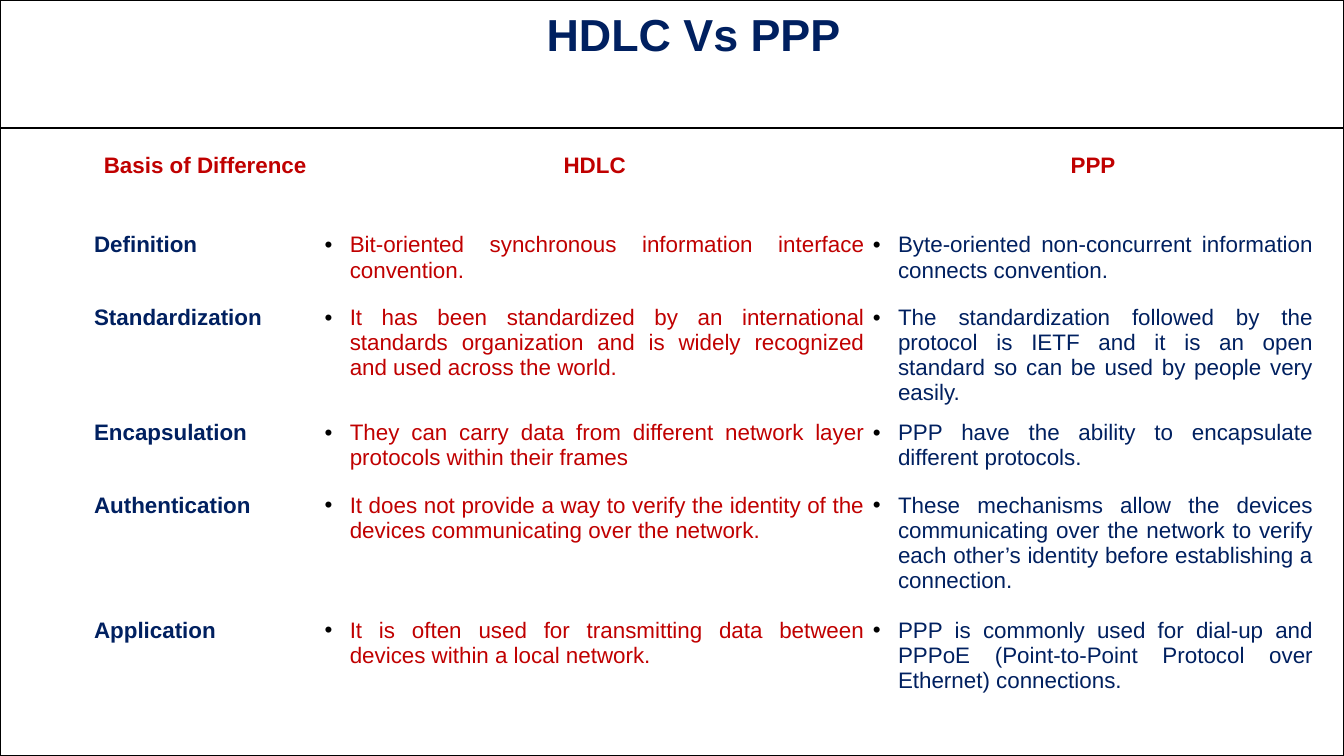
from lxml import etree
from pptx import Presentation
from pptx.dml.color import RGBColor
from pptx.enum.shapes import MSO_CONNECTOR, MSO_SHAPE
from pptx.enum.text import MSO_ANCHOR, MSO_AUTO_SIZE, PP_ALIGN
from pptx.oxml.ns import qn
from pptx.util import Pt

BLACK = RGBColor(0, 0, 0)
NAVY = RGBColor(0x00, 0x20, 0x60)
RED = RGBColor(0xC0, 0x00, 0x00)
RECT, STRAIGHT = MSO_SHAPE.RECTANGLE, MSO_CONNECTOR.STRAIGHT
TOP, NO_FIT = MSO_ANCHOR.TOP, MSO_AUTO_SIZE.NONE
CENTER, JUSTIFY = PP_ALIGN.CENTER, PP_ALIGN.JUSTIFY

WIDTH, HEIGHT = 720, 405
RULE_Y = 68.75
INSET = 2.16
BULLET_INDENT = 13.5

COLUMN_WIDTHS = (123.5, 293.75, 240.25)
COLUMN_COLORS = (NAVY, RED, NAVY)
ROW_HEIGHTS = (42.48, 38.88, 61.6, 38.88, 66.96, 46.08)
ROWS = (
    ("Basis of Difference", "HDLC", "PPP"),
    ("Definition",
     "Bit-oriented synchronous information interface convention.",
     "Byte-oriented non-concurrent information connects convention."),
    ("Standardization",
     "It has been standardized by an international standards organization "
     "and is widely recognized and used across the world.",
     "The standardization followed by the protocol is IETF and it is an open "
     "standard so can be used by people very easily."),
    ("Encapsulation",
     "They can carry data from different network layer protocols within their frames",
     "PPP have the ability to encapsulate different protocols."),
    ("Authentication",
     "It does not provide a way to verify the identity of the devices "
     "communicating over the network.",
     "These mechanisms allow the devices communicating over the network to "
     "verify each other’s identity before establishing a connection."),
    ("Application",
     "It is often used for transmitting data between devices within a local network.",
     "PPP is commonly used for dial-up and PPPoE (Point-to-Point Protocol over "
     "Ethernet) connections."),
)


def set_attrs(obj, **values):
    for name, value in values.items():
        setattr(obj, name, value)


def write(p, text, align, size, color, bold):
    p.alignment = align
    r = p.add_run()
    r.text = text
    set_attrs(r.font, name="Arial", size=Pt(size), bold=bold)
    r.font.color.rgb = color


def add_bullet(p):
    pPr = p._p.get_or_add_pPr()
    pPr.set("marL", str(Pt(BULLET_INDENT)))
    pPr.set("indent", str(-Pt(BULLET_INDENT)))
    color = etree.SubElement(pPr, qn("a:buClr"))
    etree.SubElement(color, qn("a:srgbClr"), val=str(BLACK))
    etree.SubElement(pPr, qn("a:buFont"), typeface="Arial")
    etree.SubElement(pPr, qn("a:buChar"), char="•")


def add_frame(s, x, y, w, h):
    # Border around the slide
    border = s.shapes.add_shape(RECT, Pt(x), Pt(y), Pt(w), Pt(h))
    border.shadow.inherit = False
    border.fill.background()
    # Rule below the title
    rule_y = Pt(y + RULE_Y)
    rule = s.shapes.add_connector(STRAIGHT, Pt(x), rule_y, Pt(x + w), rule_y)
    etree.SubElement(rule._element.spPr, qn("a:effectLst"))
    for sp in (border, rule):
        sp.line.color.rgb = BLACK
        sp.line.width = Pt(1)


def add_title(s, x, y, w, h):
    title = s.shapes.title
    set_attrs(title, left=Pt(x), top=Pt(y), width=Pt(w), height=Pt(h))
    tf = title.text_frame
    # The wide left margin sets the heading right of the box centre
    set_attrs(tf, auto_size=NO_FIT, word_wrap=True, vertical_anchor=TOP,
              margin_left=Pt(72), margin_right=Pt(7.2),
              margin_top=Pt(3.6), margin_bottom=Pt(3.6))
    write(tf.paragraphs[0], "HDLC Vs PPP", CENTER, 24, NAVY, True)


def add_comparison(s, x, y, w, h):
    frame = s.shapes.add_table(len(ROWS), len(COLUMN_WIDTHS),
                               Pt(x), Pt(y), Pt(w), Pt(h))
    table = frame.table
    set_attrs(table, first_row=False, horz_banding=False)
    for column, width in zip(table.columns, COLUMN_WIDTHS):
        column.width = Pt(width)
    for row, height in zip(table.rows, ROW_HEIGHTS):
        row.height = Pt(height)

    for i, texts in enumerate(ROWS):
        for j, text in enumerate(texts):
            cell = table.cell(i, j)
            cell.fill.background()
            set_attrs(cell, vertical_anchor=TOP,
                      margin_left=Pt(INSET), margin_right=Pt(INSET),
                      margin_top=Pt(INSET), margin_bottom=Pt(INSET))
            p = cell.text_frame.paragraphs[0]
            header = i == 0
            write(p, text, CENTER if header else JUSTIFY, 12,
                  RED if header else COLUMN_COLORS[j], header or j == 0)
            if not header and j > 0:
                add_bullet(p)


def main():
    prs = Presentation()
    set_attrs(prs, slide_width=Pt(WIDTH), slide_height=Pt(HEIGHT))
    s = prs.slides.add_slide(prs.slide_layouts[5])
    add_frame(s, 0, 0, WIDTH, HEIGHT)
    add_title(s, 120.25, 0, 437.75, 36)
    add_comparison(s, 48.24, 80, sum(COLUMN_WIDTHS), sum(ROW_HEIGHTS))
    prs.save("out.pptx")


if __name__ == "__main__":
    main()
